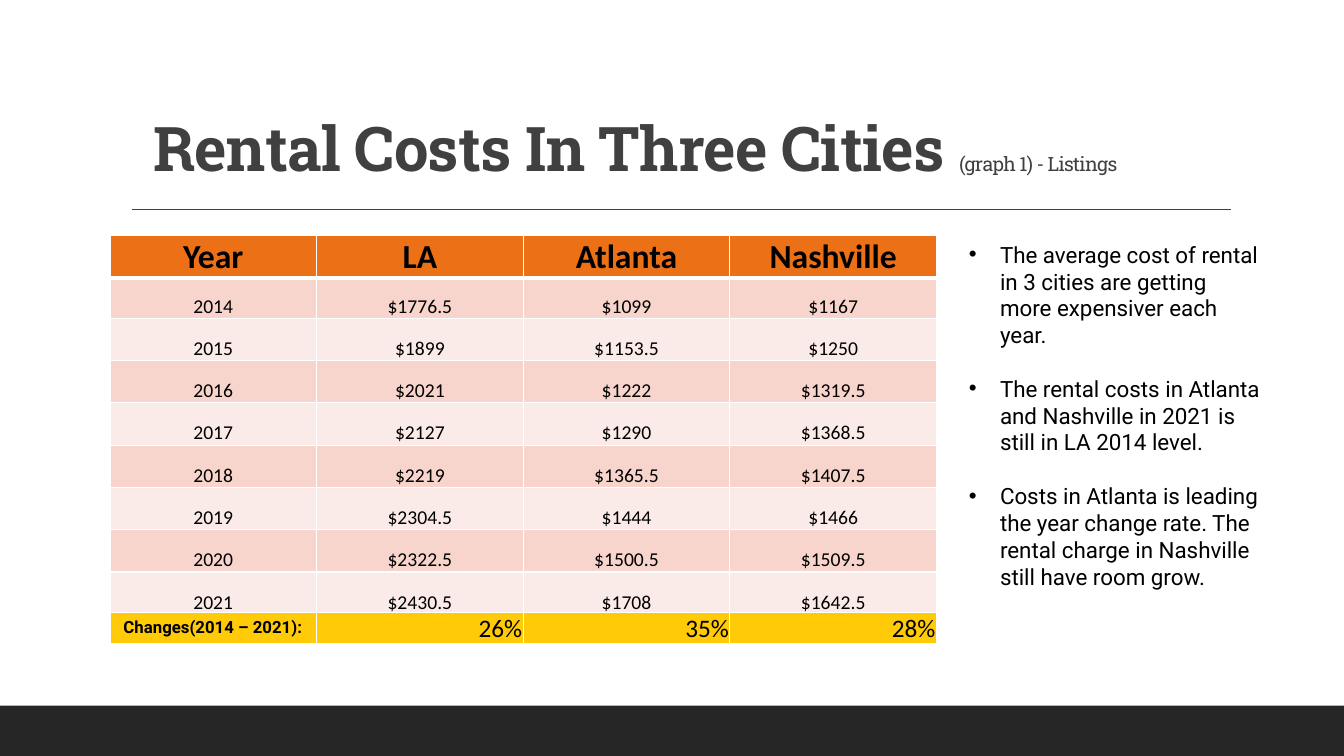
from lxml import etree
from pptx import Presentation
from pptx.dml.color import RGBColor
from pptx.enum.shapes import MSO_CONNECTOR, MSO_SHAPE
from pptx.enum.text import MSO_ANCHOR, MSO_AUTO_SIZE, PP_ALIGN
from pptx.oxml.ns import qn
from pptx.util import Inches, Pt

LEFT, CENTER, RIGHT = PP_ALIGN.LEFT, PP_ALIGN.CENTER, PP_ALIGN.RIGHT
BOTTOM, TOP = MSO_ANCHOR.BOTTOM, MSO_ANCHOR.TOP
BLACK = RGBColor(0x00, 0x00, 0x00)
CHARCOAL = RGBColor(0x26, 0x26, 0x26)
GREY = RGBColor(0x40, 0x40, 0x40)
ORANGE = RGBColor(0xEC, 0x70, 0x16)
PINK = RGBColor(0xF8, 0xD5, 0xCC)
PALE_PINK = RGBColor(0xFB, 0xEB, 0xE8)
YELLOW = RGBColor(0xFF, 0xCA, 0x08)

COLUMN_WIDTH = Inches(2.05)
TABLE_LEFT, TABLE_TOP = Inches(1.09), Inches(2.34)

RENTS = [
    ("Year", "LA", "Atlanta", "Nashville"),
    ("2014", "$1776.5", "$1099", "$1167"),
    ("2015", "$1899", "$1153.5", "$1250"),
    ("2016", "$2021", "$1222", "$1319.5"),
    ("2017", "$2127", "$1290", "$1368.5"),
    ("2018", "$2219", "$1365.5", "$1407.5"),
    ("2019", "$2304.5", "$1444", "$1466"),
    ("2020", "$2322.5", "$1500.5", "$1509.5"),
    ("2021", "$2430.5", "$1708", "$1642.5"),
]
CHANGES = ("Changes(2014 – 2021): ", "26%", "35%", "28%")
FINDINGS = [
    "The average cost of rental in 3 cities are getting more expensiver each year.",
    "The rental costs in Atlanta and Nashville in 2021 is still in LA 2014 level.",
    "Costs in Atlanta is leading the year change rate. "
    "The rental charge in Nashville still have room grow.",
]


def write(paragraph, text, size, font="Calibri", color=BLACK, bold=False, align=LEFT):
    paragraph.alignment = align
    run = paragraph.add_run()
    run.text = text
    run.font.name = font
    run.font.size = Pt(size)
    run.font.bold = bold
    run.font.color.rgb = color
    return run


def add_grid(top, heights):
    """Add a four-column table with white rules, thicker under its first row."""
    frame = slide.shapes.add_table(
        len(heights), 4, TABLE_LEFT, top, 4 * COLUMN_WIDTH, sum(heights))
    grid = frame.table
    grid.horz_banding = False
    for column in grid.columns:
        column.width = COLUMN_WIDTH
    for r, height in enumerate(heights):
        grid.rows[r].height = height
        for cell in grid.rows[r].cells:
            cell.vertical_anchor = BOTTOM
            cell.margin_left = cell.margin_top = cell.margin_right = Inches(0.01)
            cell.margin_bottom = 0
            properties = cell._tc.get_or_add_tcPr()
            for side in ("lnL", "lnR", "lnT", "lnB"):
                thick = (side == "lnB" and r == 0) or (side == "lnT" and r == 1)
                rule = etree.SubElement(
                    properties, qn(f"a:{side}"), w=str(Pt(3 if thick else 1)))
                fill = etree.SubElement(rule, qn("a:solidFill"))
                etree.SubElement(fill, qn("a:srgbClr"), val="FFFFFF")
    return grid


presentation = Presentation()
presentation.slide_width, presentation.slide_height = Inches(13.33), Inches(7.5)
width, height = presentation.slide_width, presentation.slide_height
slide = presentation.slides.add_slide(presentation.slide_layouts[5])

# Footer band and rule under the title
band_height = height // 15
footer = slide.shapes.add_shape(
    MSO_SHAPE.RECTANGLE, 0, height - band_height, width, band_height)
footer.shadow.inherit = False
footer.fill.solid()
footer.fill.fore_color.rgb = CHARCOAL
footer.line.fill.background()

title_rule = slide.shapes.add_connector(
    MSO_CONNECTOR.STRAIGHT, Inches(1.31), Inches(2.08), Inches(12.21), Inches(2.08))
title_rule.line.color.rgb = GREY
title_rule.line.width = Pt(1)
etree.SubElement(title_rule._element.spPr, qn("a:effectLst"))

# Title
title = slide.shapes.title
title.left, title.top = Inches(1.42), Inches(0.54)
title.width, title.height = Inches(10.88), Inches(1.34)
title.text_frame.auto_size = MSO_AUTO_SIZE.NONE
title.text_frame.vertical_anchor = BOTTOM
heading = title.text_frame.paragraphs[0]
heading.line_spacing = 0.9
for text, size, bold in (("Rental Costs In Three Cities ", 44, True),
                         ("(graph 1) - Listings", 14, False)):
    run = write(heading, text, size, font="Roboto Slab", color=GREY, bold=bold)
    run.font._element.set("spc", "-50")

# Rents by year
rents = add_grid(TABLE_TOP, [Inches(0.4)] * 2 + [Inches(0.42)] * 7)
for r, values in enumerate(RENTS):
    is_header = r == 0
    row_fill = ORANGE if is_header else PINK if r % 2 else PALE_PINK
    for cell, value in zip(rents.rows[r].cells, values):
        cell.fill.solid()
        cell.fill.fore_color.rgb = row_fill
        write(cell.text_frame.paragraphs[0], value, 24 if is_header else 14,
              bold=is_header, align=CENTER)

# Change over the whole period
changes = add_grid(Inches(6.08), [Inches(0.3)])
for c, value in enumerate(CHANGES):
    cell = changes.cell(0, c)
    cell.fill.solid()
    cell.fill.fore_color.rgb = YELLOW
    is_label = c == 0
    if is_label:
        cell.vertical_anchor = TOP
        cell.margin_left = cell.margin_right = Inches(0.1)
        cell.margin_top = cell.margin_bottom = Inches(0.05)
    write(cell.text_frame.paragraphs[0], value, 12 if is_label else 18,
          font="Roboto" if is_label else "Calibri", bold=is_label, align=RIGHT)

# Findings
findings = slide.shapes.add_textbox(
    Inches(9.51), TABLE_TOP, Inches(3.11), Inches(4.24)).text_frame
findings.word_wrap = True
findings.auto_size = MSO_AUTO_SIZE.SHAPE_TO_FIT_TEXT
for i, finding in enumerate(FINDINGS):
    paragraph = findings.add_paragraph() if i else findings.paragraphs[0]
    write(paragraph, finding, 16, font="Roboto")
    paragraph.space_before = Pt(19 if i else 0)
    properties = paragraph._p.get_or_add_pPr()
    properties.set("marL", str(Inches(0.31)))
    properties.set("indent", str(-Inches(0.31)))
    etree.SubElement(properties, qn("a:buFont"), typeface="Arial")
    etree.SubElement(properties, qn("a:buChar"), char="•")

presentation.save("out.pptx")
